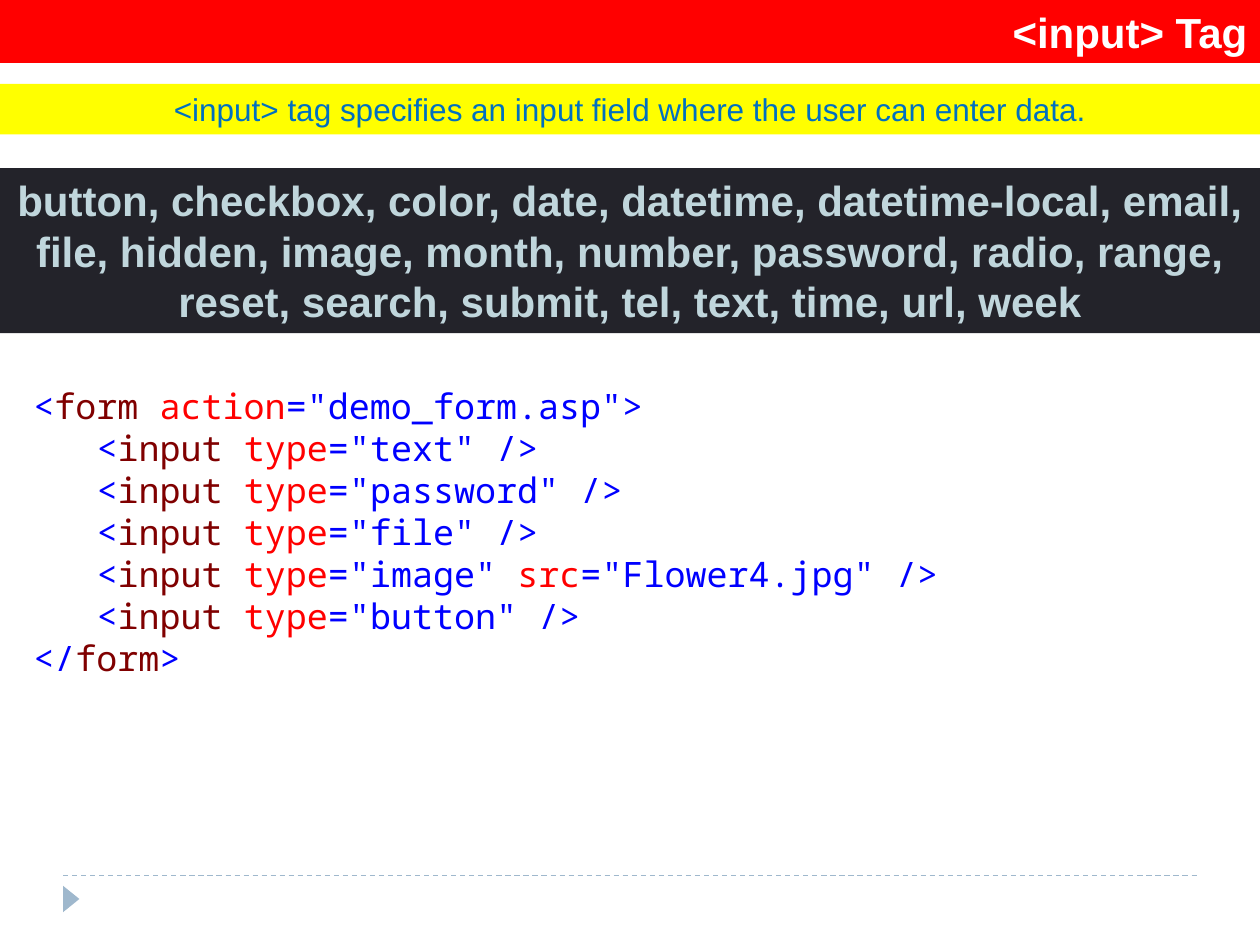
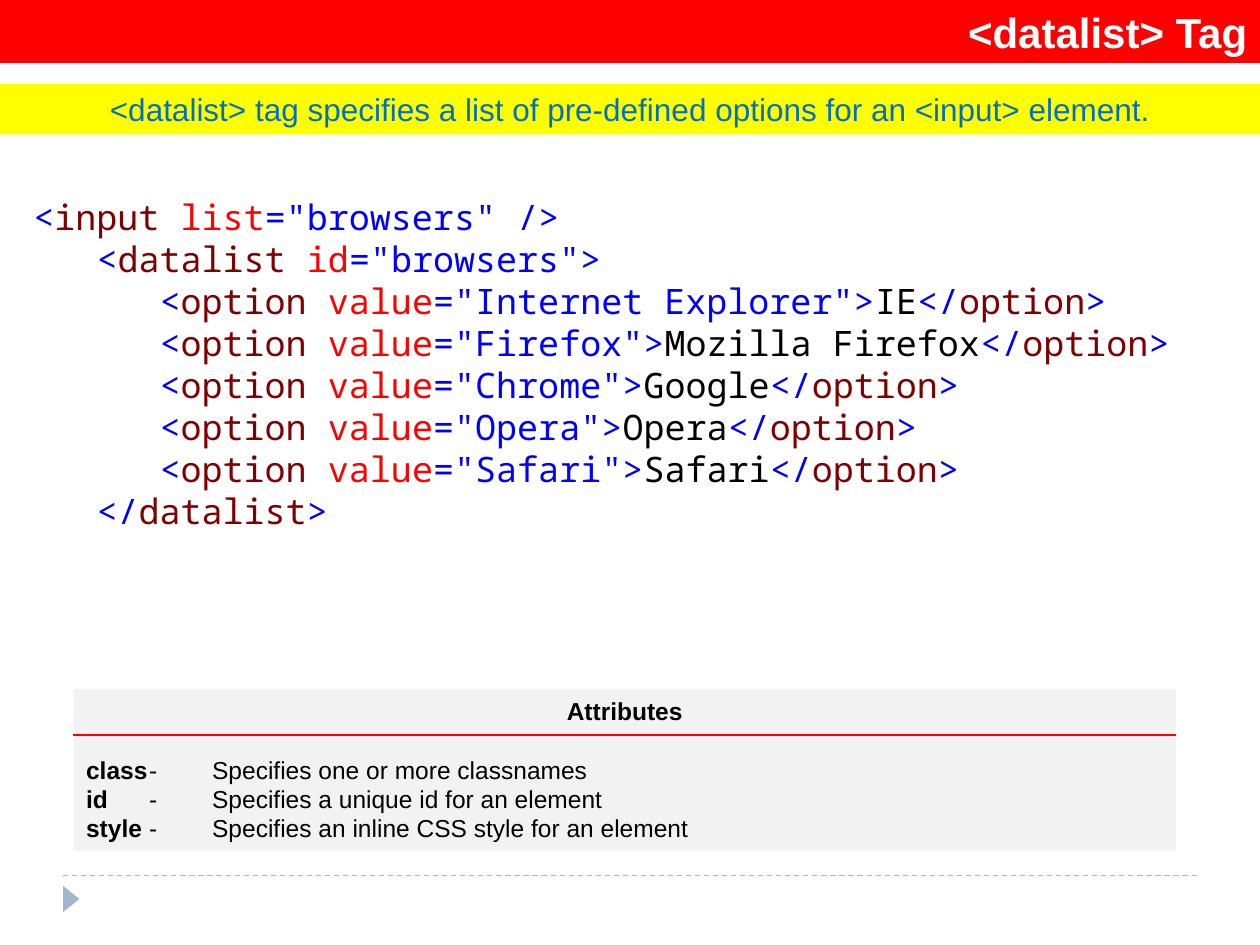
import itertools
from dataclasses import dataclass

import pptx
import pptx.dml.color
import pptx.enum.dml
import pptx.enum.shapes
import pptx.enum.text
import pptx.oxml
import pptx.oxml.ns
import pptx.util

ALIGN = pptx.enum.text.PP_ALIGN
ANCHOR = pptx.enum.text.MSO_ANCHOR
SHAPE = pptx.enum.shapes.MSO_SHAPE
COLUMNS, ROWS = 60, 45
TITLE_ONLY, TITLE_AND_BODY = 5, 1


@dataclass(frozen=True)
class Theme:
    font: str = "Arial"
    code_font: str = "Noto Sans Mono"
    title_size: int = 24
    summary_size: int = 18
    code_size: int = 20
    code_leading: int = 24
    list_size: int = 14
    red: str = "FF0000"
    yellow: str = "FFFF00"
    dark: str = "23232A"
    panel: str = "F2F2F2"
    white: str = "FFFFFF"
    black: str = "000000"
    summary_text: str = "0070C0"
    types_text: str = "C0D6DC"
    accent: str = "9FB8CD"
    code_mark: str = "0000FF"
    code_tag: str = "800000"


def highlight(line):
    """Yield each character of a line of HTML with its part of the syntax."""
    state, quotes = "text", 0
    for char in line:
        if state == "value":
            yield char, "mark"
            if char == '"':
                quotes += 1
                if quotes == 2:
                    state = "attribute"
        elif state == "text" and char != "<":
            yield char, "text"
        elif char in "</>=":
            yield char, "mark"
            if char != "/":
                state = {"<": "tag", ">": "text", "=": "value"}[char]
                quotes = 0
        else:
            yield char, state
            if char == " ":
                state = "attribute"


class Deck:
    def __init__(self, theme):
        self.theme = theme
        self.prs = pptx.Presentation()
        self.prs.slide_width = pptx.util.Inches(10)
        self.prs.slide_height = pptx.util.Inches(7.5)
        self.slide = None

    # Helpers for place and format
    def place(self, left, top, width, height):
        across = self.prs.slide_width / COLUMNS
        down = self.prs.slide_height / ROWS
        return [round(n) for n in (left * across, top * down, width * across, height * down)]

    def paint(self, shape, color):
        shape.fill.solid()
        shape.fill.fore_color.rgb = pptx.dml.color.RGBColor.from_string(color)

    def prepare(self, frame, anchor):
        settings = {
            "word_wrap": True,
            "auto_size": pptx.enum.text.MSO_AUTO_SIZE.NONE,
            "vertical_anchor": anchor,
            "margin_left": pptx.util.Inches(0.1),
            "margin_right": pptx.util.Inches(0.1),
            "margin_top": pptx.util.Inches(0.05),
            "margin_bottom": pptx.util.Inches(0.05),
        }
        for key, value in settings.items():
            setattr(frame, key, value)

    def add_text(self, paragraph, text, size, color, bold=False, font=None):
        run = paragraph.add_run()
        run.text = text
        settings = {"name": font or self.theme.font, "size": pptx.util.Pt(size), "bold": bold}
        for key, value in settings.items():
            setattr(run.font, key, value)
        run.font.color.rgb = pptx.dml.color.RGBColor.from_string(color)

    def paragraphs(self, frame, count):
        return [frame.paragraphs[0]] + [frame.add_paragraph() for _ in range(count - 1)]

    # Elements
    def add_slide(self, layout, title, summary):
        t = self.theme
        self.slide = self.prs.slides.add_slide(self.prs.slide_layouts[layout])
        self.footer()
        self.title(title)
        self.band(4, 2.4, summary, t.yellow, t.summary_text, t.summary_size)

    def title(self, text):
        heading = self.slide.shapes.title
        heading.left, heading.top, heading.width, heading.height = self.place(0, 0, COLUMNS, 3)
        self.paint(heading, self.theme.red)
        self.prepare(heading.text_frame, ANCHOR.MIDDLE)
        paragraph = heading.text_frame.paragraphs[0]
        paragraph.alignment = ALIGN.RIGHT
        self.add_text(paragraph, text, self.theme.title_size, self.theme.white, bold=True)

    def shape(self, kind, box, color):
        shape = self.slide.shapes.add_shape(kind, *self.place(*box))
        shape.shadow.inherit = False
        shape.line.fill.background()
        self.paint(shape, color)
        return shape

    def band(self, top, height, text, fill, color, size, bold=False):
        band = self.shape(SHAPE.RECTANGLE, (0, top, COLUMNS, height), fill)
        self.prepare(band.text_frame, ANCHOR.MIDDLE)
        paragraph = band.text_frame.paragraphs[0]
        paragraph.alignment = ALIGN.CENTER
        self.add_text(paragraph, text, size, color, bold)

    def rule(self, left, top, width, color, points, dash=None):
        x, y, length, _ = self.place(left, top, width, 0)
        rule = self.slide.shapes.add_connector(
            pptx.enum.shapes.MSO_CONNECTOR.STRAIGHT, x, y, x + length, y)
        rule.line.color.rgb = pptx.dml.color.RGBColor.from_string(color)
        rule.line.width = pptx.util.Pt(points)
        if dash:
            rule.line.dash_style = dash
        no_effects = f"<a:effectLst {pptx.oxml.ns.nsdecls('a')}/>"
        rule._element.spPr.append(pptx.oxml.parse_xml(no_effects))

    def footer(self):
        accent = self.theme.accent
        self.rule(3, 41.7, 54, accent, 0.75, pptx.enum.dml.MSO_LINE.DASH)
        arrow = self.shape(SHAPE.ISOSCELES_TRIANGLE, (2.76, 42.42, 1.26, 0.78), accent)
        arrow.rotation = 90

    def code(self, top, height, source):
        t = self.theme
        colors = {"text": t.black, "mark": t.code_mark, "tag": t.code_tag, "attribute": t.red}
        lines = source.strip().splitlines()
        listing = self.slide.shapes.add_textbox(*self.place(1, top, 58, height))
        self.prepare(listing.text_frame, ANCHOR.TOP)
        for paragraph, line in zip(self.paragraphs(listing.text_frame, len(lines)), lines):
            paragraph.line_spacing = pptx.util.Pt(t.code_leading)
            for part, chars in itertools.groupby(highlight(line), key=lambda pair: pair[1]):
                text = "".join(char for char, _ in chars)
                self.add_text(paragraph, text, t.code_size, colors[part], font=t.code_font)

    def attributes(self, heading, entries):
        t = self.theme
        panel = self.slide.placeholders[1]
        left, top, width, height = 3.5, 32.8, 52.5, 7.7
        panel.left, panel.top, panel.width, panel.height = self.place(left, top, width, height)
        self.paint(panel, t.panel)
        self.prepare(panel.text_frame, ANCHOR.MIDDLE)
        title, *items = self.paragraphs(panel.text_frame, len(entries) + 1)
        for paragraph in (title, *items):
            self.plain(paragraph)
        title.alignment = ALIGN.CENTER
        self.add_text(title, heading, t.list_size, t.black, bold=True)
        items[0].space_before = pptx.util.Pt(16.5)
        for item, (name, meaning) in zip(items, entries):
            self.add_text(item, name, t.list_size, t.black, bold=True)
            self.add_text(item, f"\t-\t{meaning}", t.list_size, t.black)
        self.rule(left, 35, width, t.red, 1)

    def plain(self, paragraph):
        """Take off the bullet and set tab stops for the dash and the meaning."""
        paragraph.space_before = pptx.util.Pt(0)
        properties = paragraph._p.get_or_add_pPr()
        properties.set("marL", "0")
        properties.set("indent", "0")
        stops = "".join(f'<a:tab pos="{pptx.util.Inches(stop)}" algn="l"/>' for stop in (0.65, 0.83))
        namespace = pptx.oxml.ns.nsdecls("a")
        for xml in (f"<a:buNone {namespace}/>", f"<a:tabLst {namespace}>{stops}</a:tabLst>"):
            properties.append(pptx.oxml.parse_xml(xml))


INPUT_TYPES = (
    "button, checkbox, color, date, datetime, datetime-local, email, file, hidden, "
    "image, month, number, password, radio, range, reset, search, submit, tel, text, "
    "time, url, week"
)

FORM_CODE = """
<form action="demo_form.asp">
   <input type="text" />
   <input type="password" />
   <input type="file" />
   <input type="image" src="Flower4.jpg" />
   <input type="button" />
</form>
"""

DATALIST_CODE = """
<input list="browsers" />
   <datalist id="browsers">
      <option value="Internet Explorer">IE</option>
      <option value="Firefox">Mozilla Firefox</option>
      <option value="Chrome">Google</option>
      <option value="Opera">Opera</option>
      <option value="Safari">Safari</option>
   </datalist>
"""

ATTRIBUTES = [
    ("class", "Specifies one or more classnames"),
    ("id", "Specifies a unique id for an element"),
    ("style", "Specifies an inline CSS style for an element"),
]


def main():
    theme = Theme()
    deck = Deck(theme)

    # The input tag
    deck.add_slide(TITLE_ONLY, "<input> Tag",
                   "<input> tag specifies an input field where the user can enter data.")
    deck.band(8, 7.86, INPUT_TYPES, theme.dark, theme.types_text, theme.title_size, bold=True)
    deck.code(18, 15.12, FORM_CODE)

    # The datalist tag
    deck.add_slide(TITLE_AND_BODY, "<datalist> Tag",
                   "<datalist> tag specifies a list of pre-defined options for an <input> element.")
    deck.attributes("Attributes", ATTRIBUTES)
    deck.code(9, 17.16, DATALIST_CODE)

    deck.prs.save("out.pptx")


if __name__ == "__main__":
    main()
